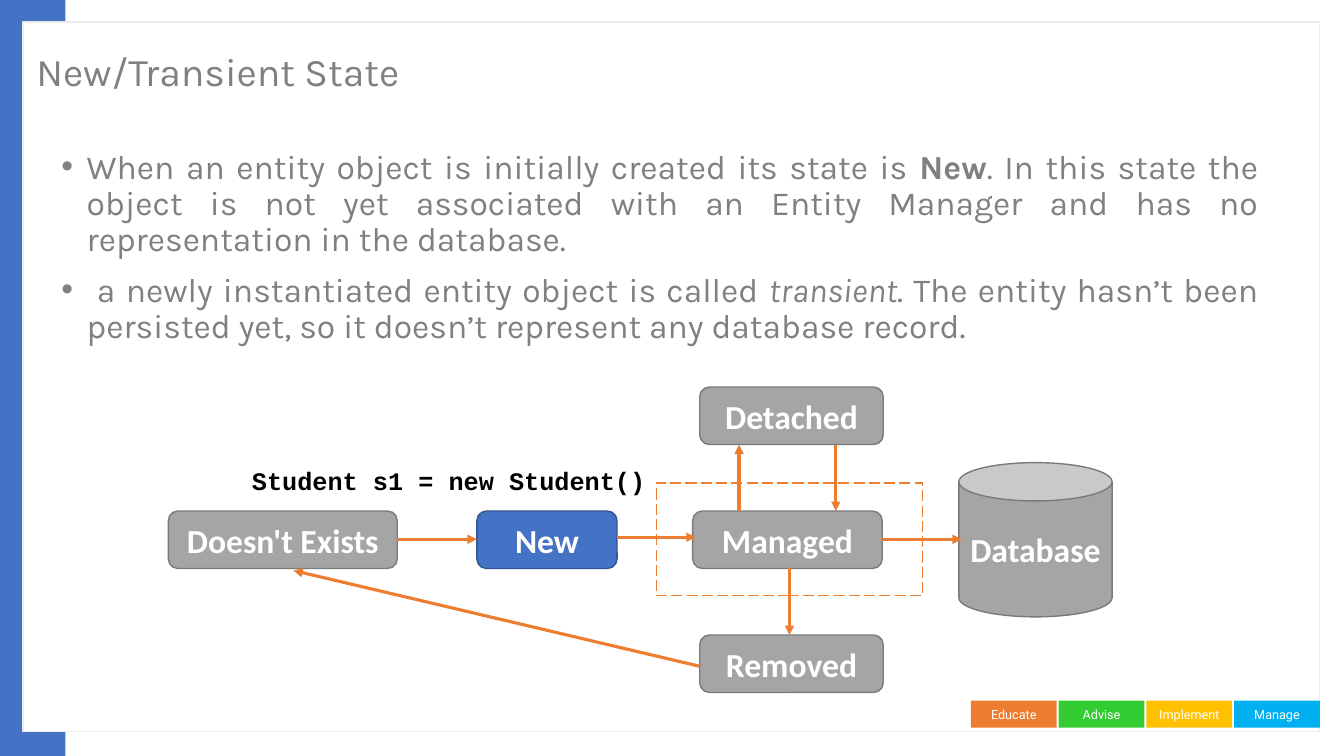
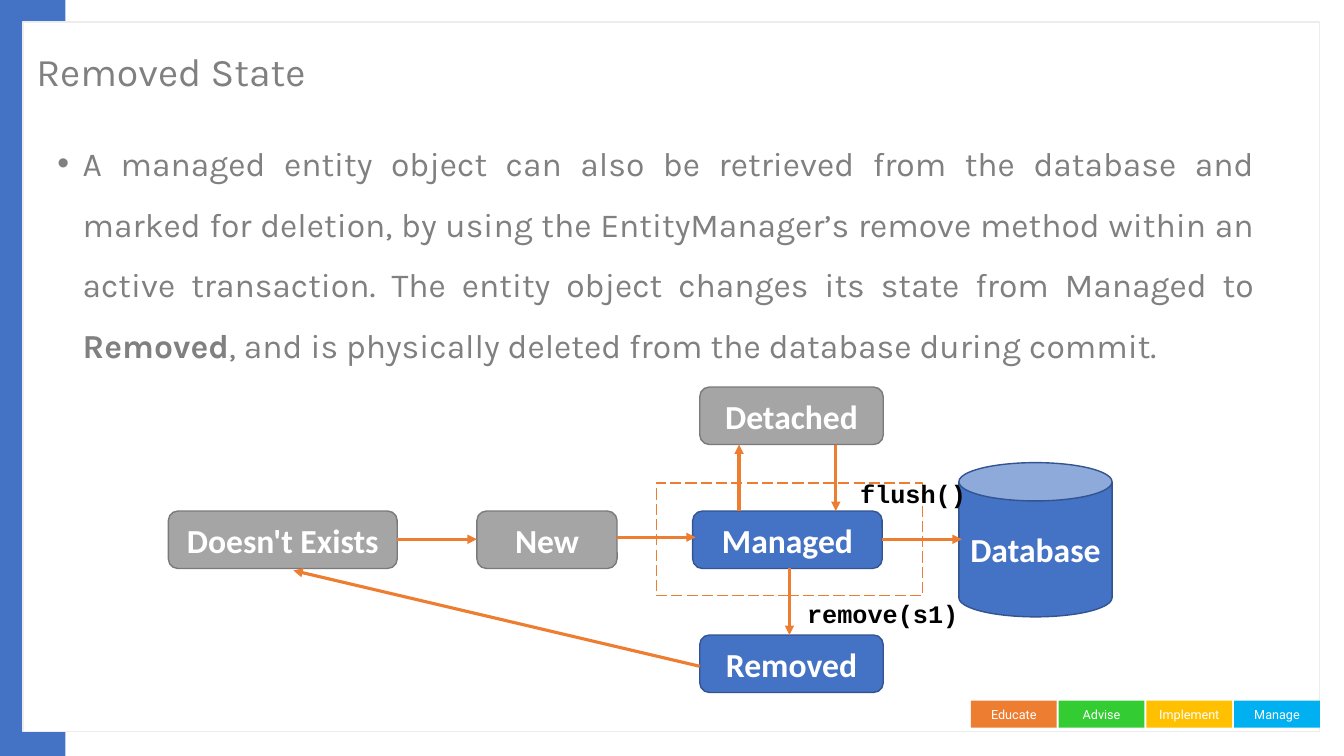
from dataclasses import dataclass
from typing import NamedTuple

from lxml import etree
from pptx import Presentation
from pptx.dml.color import RGBColor
from pptx.enum.dml import MSO_LINE
from pptx.enum.shapes import MSO_CONNECTOR, MSO_SHAPE
from pptx.enum.text import MSO_ANCHOR, MSO_AUTO_SIZE, PP_ALIGN
from pptx.oxml.ns import qn
from pptx.util import Emu, Pt

PX = 9144  # EMU per px, 100 px to the inch

RECT, ROUNDED, CAN = MSO_SHAPE.RECTANGLE, MSO_SHAPE.ROUNDED_RECTANGLE, MSO_SHAPE.CAN
STRAIGHT, LONG_DASH = MSO_CONNECTOR.STRAIGHT, MSO_LINE.LONG_DASH
LEFT, CENTER, JUSTIFY = PP_ALIGN.LEFT, PP_ALIGN.CENTER, PP_ALIGN.JUSTIFY
MIDDLE, TOP = MSO_ANCHOR.MIDDLE, MSO_ANCHOR.TOP
NO_FIT = MSO_AUTO_SIZE.NONE

BLUE = RGBColor(0x44, 0x72, 0xC4)
BLUE_EDGE = RGBColor(0x32, 0x54, 0x91)
GREY = RGBColor(0xA5, 0xA5, 0xA5)
GREY_EDGE = RGBColor(0x7A, 0x7A, 0x7A)
TEXT_GREY = RGBColor(0x80, 0x80, 0x80)
PANEL_EDGE = RGBColor(0xED, 0xED, 0xED)
ORANGE = RGBColor(0xED, 0x7D, 0x31)
GREEN = RGBColor(0x33, 0xCC, 0x33)
YELLOW = RGBColor(0xFF, 0xC0, 0x00)
SKY = RGBColor(0x00, 0xB0, 0xF0)
WHITE = RGBColor(0xFF, 0xFF, 0xFF)
BLACK = RGBColor(0x00, 0x00, 0x00)


class Box(NamedTuple):
    left: int
    top: int
    width: int
    height: int


class Face(NamedTuple):
    name: str
    size: int
    color: RGBColor
    bold: bool = False


class Span(NamedTuple):
    text: str
    bold: bool | None = None
    italic: bool | None = None


class State(NamedTuple):
    name: str
    box: Box
    kind: int = ROUNDED


class Arrow(NamedTuple):
    x1: int
    y1: int
    x2: int
    y2: int


class Call(NamedTuple):
    code: str
    box: Box
    align: int = CENTER


@dataclass(frozen=True)
class StateSlide:
    title: str
    body_box: Box
    line_spacing: float
    bullets: list[list[Span]]
    active: set[str]
    calls: list[Call]


TITLE_FACE = Face("Karla", 28, TEXT_GREY)
BODY_FACE = Face("Karla", 24, TEXT_GREY)
TAB_FACE = Face("Roboto", 9, WHITE)
STATE_FACE = Face("Calibri", 24, WHITE, True)
CODE_FACE = Face("Courier New", 18, BLACK, True)

TITLE_BOX = Box(26, 30, 1032, 87)
TABS = [("Educate", ORANGE), ("Advise", GREEN), ("Implement", YELLOW), ("Manage", SKY)]
TAB_LEFT, TAB_STEP = 963, 87

CONTEXT_BOX = Box(651, 479, 264, 112)
STATES = [
    State("Managed", Box(687, 507, 188, 57)),
    State("New", Box(473, 507, 139, 57)),
    State("Doesn't Exists", Box(167, 507, 227, 57)),
    State("Removed", Box(694, 630, 182, 57)),
    State("Detached", Box(694, 384, 182, 57)),
    State("Database", Box(951, 459, 152, 153), CAN),
]
ARROWS = [
    Arrow(394, 535, 473, 535),
    Arrow(612, 533, 690, 533),
    Arrow(875, 535, 954, 535),
    Arrow(829, 441, 829, 507),
    Arrow(783, 564, 783, 630),
    Arrow(733, 507, 733, 441),
    Arrow(694, 661, 291, 566),
]

SLIDES = [
    StateSlide(
        "New/Transient State", Box(51, 144, 1207, 553), 0.9,
        [
            [
                Span("When an entity object is initially created its state is "),
                Span("New", bold=True),
                Span(". In this state the object is not yet associated with an "
                     "Entity Manager and has no representation in the database."),
            ],
            [
                Span(" a newly instantiated entity object is called "),
                Span("transient", italic=True),
                Span(". The entity hasn’t been persisted yet, so it doesn’t "
                     "represent any database record."),
            ],
        ],
        {"New"},
        [Call("Student s1 = new Student()", Box(240, 457, 415, 40), LEFT)],
    ),
    StateSlide(
        "Removed State", Box(47, 117, 1207, 553), 1.5,
        [
            [
                Span("A managed entity object can also be retrieved from the database "
                     "and marked for deletion, by using the EntityManager’s remove "
                     "method within an active transaction. The entity object changes "
                     "its state from Managed to "),
                Span("Removed", bold=True),
                Span(", and is physically deleted from the database during commit."),
            ],
        ],
        {"Managed", "Removed", "Database"},
        [
            Call("flush()", Box(825, 470, 161, 40)),
            Call("remove(s1)", Box(785, 589, 181, 40)),
        ],
    ),
]


def emu(box: tuple[int, ...]) -> list[Emu]:
    return [Emu(px * PX) for px in box]


def place(placeholder, box: Box) -> None:
    placeholder.left, placeholder.top, placeholder.width, placeholder.height = emu(box)


def set_face(paragraph, face: Face, align: int) -> None:
    paragraph.alignment = align
    font = paragraph.font
    font.name, font.size, font.bold = face.name, Pt(face.size), face.bold
    font.color.rgb = face.color


def draw_box(slide, kind: int, box: Box, fill: RGBColor, edge: RGBColor | None = None,
             text: str = "", face: Face = STATE_FACE):
    shape = slide.shapes.add_shape(kind, *emu(box))
    shape.shadow.inherit = False
    shape.fill.solid()
    shape.fill.fore_color.rgb = fill
    if edge is None:
        shape.line.fill.background()
    else:
        shape.line.color.rgb = edge
        shape.line.width = Pt(1)
    if text:
        frame = shape.text_frame
        frame.word_wrap = False
        frame.vertical_anchor = MIDDLE
        frame.text = text
        set_face(frame.paragraphs[0], face, CENTER)
    return shape


def draw_arrow(slide, arrow: Arrow) -> None:
    connector = slide.shapes.add_connector(STRAIGHT, *emu(arrow))
    connector.line.color.rgb = ORANGE
    connector.line.width = Pt(2.25)
    properties = connector._element.spPr
    etree.SubElement(properties.find(qn("a:ln")), qn("a:tailEnd"), type="triangle")
    etree.SubElement(properties, qn("a:effectLst"))


def draw_call(slide, call: Call) -> None:
    frame = slide.shapes.add_textbox(*emu(call.box)).text_frame
    frame.word_wrap = True
    frame.text = call.code
    set_face(frame.paragraphs[0], CODE_FACE, call.align)


def build_layout(layout, slide) -> None:
    """Draw the shared frame and keep it on the layout, behind its placeholders."""
    place(layout.placeholders[0], TITLE_BOX)
    frame = [
        draw_box(slide, RECT, Box(0, 0, 65, 750), BLUE),
        draw_box(slide, RECT, Box(23, 22, 1286, 704), WHITE, PANEL_EDGE),
    ]
    for i, (label, color) in enumerate(TABS):
        tab = Box(TAB_LEFT + i * TAB_STEP, 695, 85, 27)
        frame.append(draw_box(slide, RECT, tab, color, text=label, face=TAB_FACE))
    for i, part in enumerate(frame):
        part._element.nvSpPr.cNvPr.set("id", str(100 + i))
        layout.shapes._spTree.insert(2 + i, part._element)


def write_title(slide, title: str) -> None:
    heading = slide.shapes.title
    heading.text_frame.text = title
    heading.text_frame.vertical_anchor = MIDDLE
    heading.text_frame.auto_size = NO_FIT
    paragraph = heading.text_frame.paragraphs[0]
    set_face(paragraph, TITLE_FACE, LEFT)
    paragraph.line_spacing = 0.9


def write_bullets(slide, content: StateSlide) -> None:
    body = slide.placeholders[1]
    place(body, content.body_box)
    frame = body.text_frame
    frame.auto_size = NO_FIT
    frame.vertical_anchor = TOP
    for i, spans in enumerate(content.bullets):
        paragraph = frame.add_paragraph() if i else frame.paragraphs[0]
        set_face(paragraph, BODY_FACE, JUSTIFY)
        paragraph.line_spacing = content.line_spacing
        paragraph.space_before = Pt(10)
        indent = 25 * PX
        paragraph._p.pPr.set("marL", str(indent))
        paragraph._p.pPr.set("indent", str(-indent))
        for span in spans:
            run = paragraph.add_run()
            run.text = span.text
            run.font.bold, run.font.italic = span.bold, span.italic


def draw_lifecycle(slide, active: set[str]) -> None:
    context = draw_box(slide, RECT, CONTEXT_BOX, WHITE, ORANGE)
    context.line.dash_style = LONG_DASH
    for state in STATES:
        fill, edge = (BLUE, BLUE_EDGE) if state.name in active else (GREY, GREY_EDGE)
        draw_box(slide, state.kind, state.box, fill, edge, state.name)
    for arrow in ARROWS:
        draw_arrow(slide, arrow)


def main() -> None:
    deck = Presentation()
    deck.slide_width, deck.slide_height = emu((1333, 750))
    layout = deck.slide_layouts[1]
    for i, content in enumerate(SLIDES):
        slide = deck.slides.add_slide(layout)
        if i == 0:
            build_layout(layout, slide)
        write_title(slide, content.title)
        write_bullets(slide, content)
        draw_lifecycle(slide, content.active)
        for call in content.calls:
            draw_call(slide, call)
    deck.save("out.pptx")


if __name__ == "__main__":
    main()
